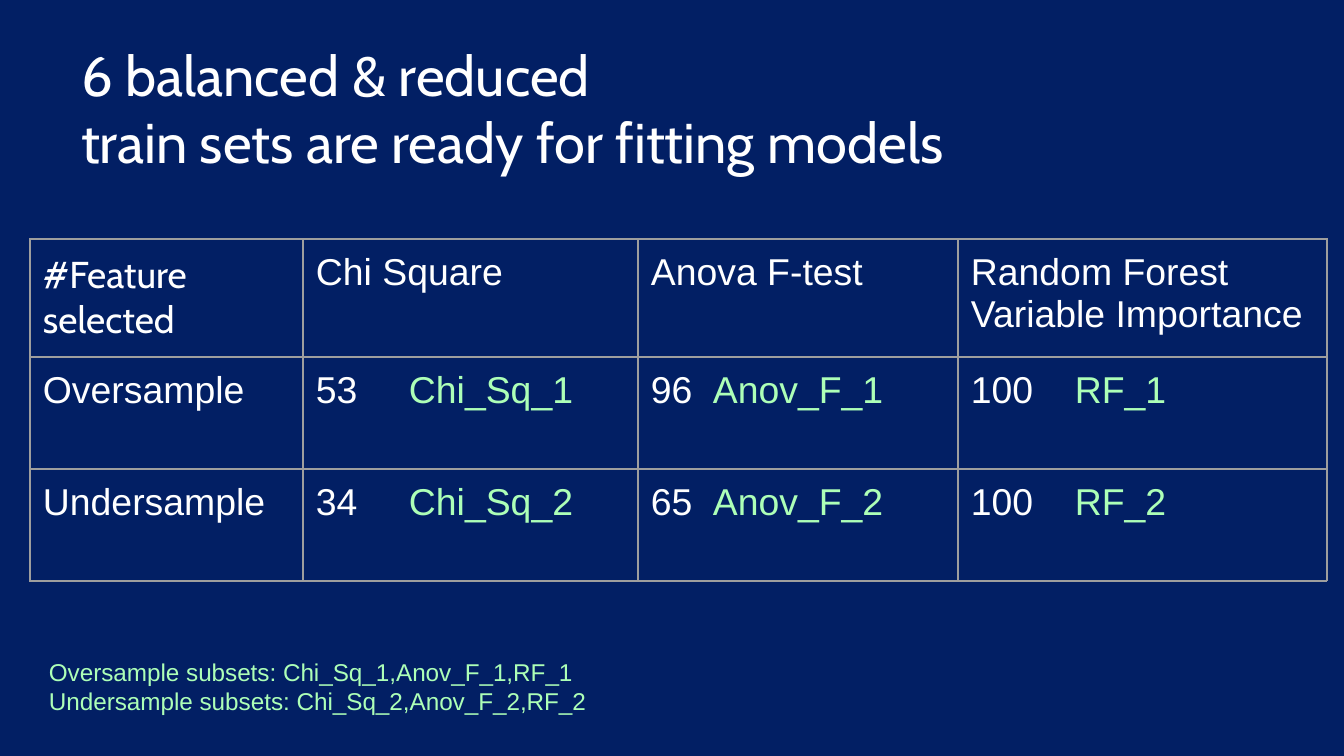
from lxml import etree
from pptx import Presentation
from pptx.dml.color import RGBColor
from pptx.enum.text import MSO_ANCHOR, MSO_AUTO_SIZE, PP_ALIGN
from pptx.oxml.ns import qn
from pptx.util import Pt

LEFT = PP_ALIGN.LEFT
TOP, BOTTOM = MSO_ANCHOR.TOP, MSO_ANCHOR.BOTTOM
NO_AUTOFIT = MSO_AUTO_SIZE.NONE

EMU_PER_PX = 914400 / 134.4
INSET = 13
TITLE_ONLY = 5
NAVY, WHITE, GREEN, GREY = "021F64", "FFFFFF", "ADFFB7", "9E9E9E"

TITLE_LINES = ["6 balanced & reduced", "train sets are ready for fitting models"]
NOTE_LINES = [
    "Oversample subsets: Chi_Sq_1,Anov_F_1,RF_1",
    "Undersample subsets: Chi_Sq_2,Anov_F_2,RF_2",
]
HEADINGS = ["#Feature selected", "Chi Square", "Anova F-test",
            "Random Forest Variable Importance"]
# Sample name, then the feature count for each selection method
COUNTS = [("Oversample", 53, 96, 100), ("Undersample", 34, 65, 100)]
SUBSETS = ["Chi_Sq", "Anov_F", "RF"]
SUBSET_TABS = [93, 62, 104]
COLUMN_WIDTHS = [273, 335, 320, 369]
ROW_HEIGHTS = [118, 112, 112]


def px(length):
    return round(length * EMU_PER_PX)


def color(hex_value):
    return RGBColor.from_string(hex_value)


def add_text(paragraph, text, size=20, font="Arial", fill=WHITE):
    paragraph.alignment = LEFT
    run = paragraph.add_run()
    run.text = text
    run.font.size = Pt(size)
    run.font.name = font
    run.font.color.rgb = color(fill)


def fill_frame(frame, lines, anchor, **text_format):
    frame.word_wrap = True
    frame.auto_size = NO_AUTOFIT
    frame.vertical_anchor = anchor
    frame.margin_left = frame.margin_right = px(INSET)
    frame.margin_top = frame.margin_bottom = px(INSET)
    for index, line in enumerate(lines):
        paragraph = frame.add_paragraph() if index else frame.paragraphs[0]
        paragraph.line_spacing = 1.0
        paragraph.space_before = Pt(0)
        add_text(paragraph, line, **text_format)


def add_tab_stop(paragraph, position):
    tabs = etree.SubElement(paragraph._p.get_or_add_pPr(), qn("a:tabLst"))
    etree.SubElement(tabs, qn("a:tab"), pos=str(px(position)), algn="l")


def style_cell(cell):
    cell.margin_left = cell.margin_right = px(INSET)
    cell.margin_top = cell.margin_bottom = px(INSET)
    cell.vertical_anchor = TOP
    properties = cell._tc.get_or_add_tcPr()
    for side in ("lnL", "lnR", "lnT", "lnB"):
        line = etree.SubElement(properties, qn(f"a:{side}"), w=str(Pt(0.75)))
        solid = etree.SubElement(line, qn("a:solidFill"))
        etree.SubElement(solid, qn("a:srgbClr"), val=GREY)
    cell.fill.background()


def build_title(slide, left, top, width, height):
    title = slide.shapes.title
    title.left, title.top = px(left), px(top)
    title.width, title.height = px(width), px(height)
    fill_frame(title.text_frame, TITLE_LINES, BOTTOM, size=30, font="Cabin")


def build_table(slide, left, top):
    shape = slide.shapes.add_table(
        len(ROW_HEIGHTS), len(COLUMN_WIDTHS), px(left), px(top),
        px(sum(COLUMN_WIDTHS)), px(sum(ROW_HEIGHTS)))
    table = shape.table
    table.first_row = table.horz_banding = False
    for column, width in zip(table.columns, COLUMN_WIDTHS):
        column.width = px(width)
    for row, height in zip(table.rows, ROW_HEIGHTS):
        row.height = px(height)
    for cell in table.iter_cells():
        style_cell(cell)

    # Header row
    for index, heading in enumerate(HEADINGS):
        paragraph = table.cell(0, index).text_frame.paragraphs[0]
        add_text(paragraph, heading, font="Arial" if index else "Cabin")

    # Feature counts, each followed by the name of its subset
    for row, (sample, *counts) in enumerate(COUNTS, start=1):
        add_text(table.cell(row, 0).text_frame.paragraphs[0], sample)
        methods = zip(counts, SUBSETS, SUBSET_TABS)
        for column, (count, subset, tab) in enumerate(methods, start=1):
            paragraph = table.cell(row, column).text_frame.paragraphs[0]
            add_tab_stop(paragraph, tab)
            add_text(paragraph, f"{count}\t")
            add_text(paragraph, f"{subset}_{row}", fill=GREEN)


def build_note(slide, left, top, width, height):
    box = slide.shapes.add_textbox(px(left), px(top), px(width), px(height))
    fill_frame(box.text_frame, NOTE_LINES, TOP, size=13, fill=GREEN)


def main():
    presentation = Presentation()
    presentation.slide_width, presentation.slide_height = px(1344), px(756)
    slide = presentation.slides.add_slide(presentation.slide_layouts[TITLE_ONLY])
    slide.background.fill.solid()
    slide.background.fill.fore_color.rgb = color(NAVY)
    build_title(slide, 68, 47, 1128, 141)
    build_table(slide, 30, 239)
    build_note(slide, 36, 644, 950, 86)
    presentation.save("out.pptx")


if __name__ == "__main__":
    main()
